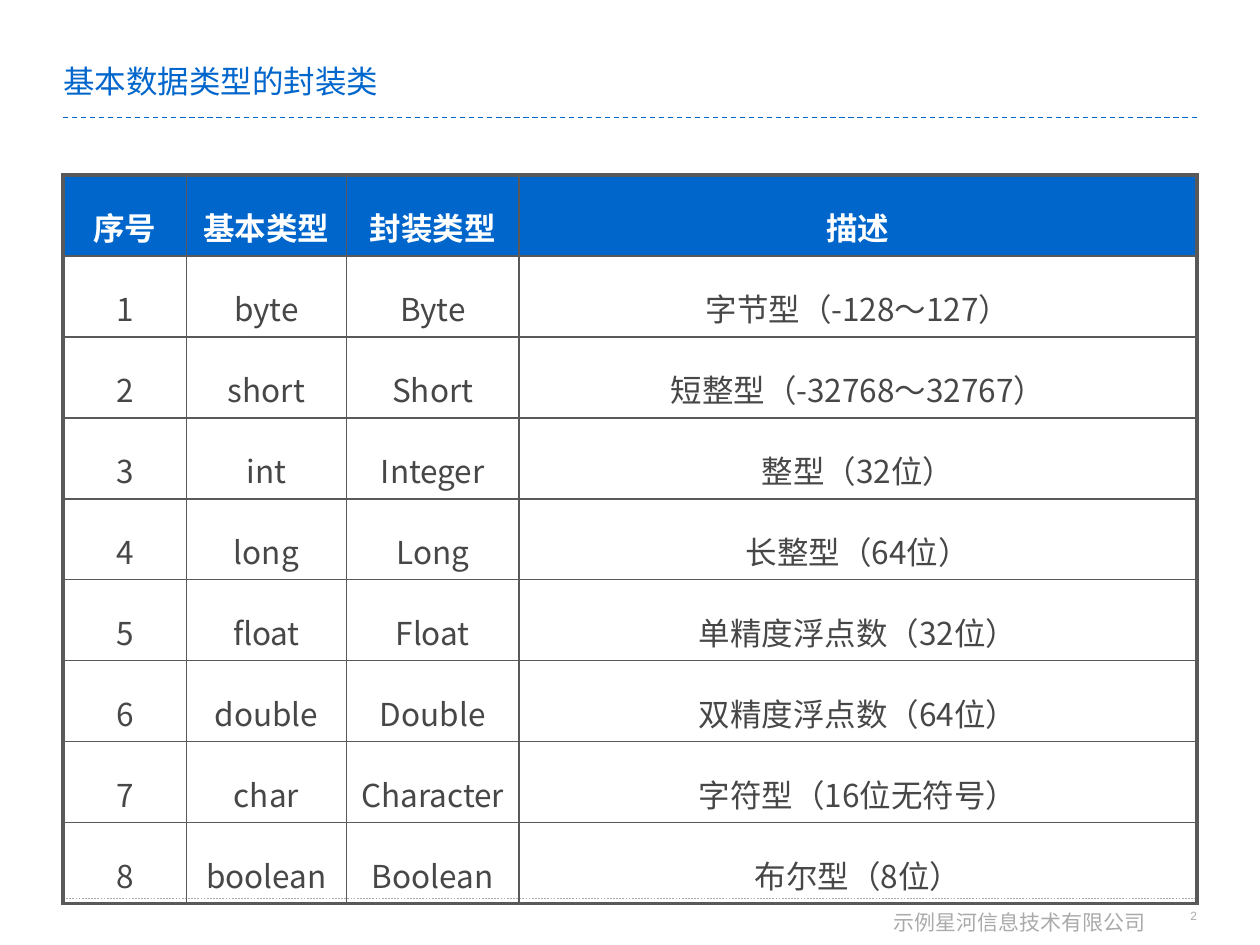
import pptx
import pptx.dml.color
import pptx.enum.dml
import pptx.enum.shapes
import pptx.enum.text
import pptx.oxml.ns
import pptx.util
from lxml import etree

Inches = pptx.util.Inches
Pt = pptx.util.Pt
Align = pptx.enum.text.PP_ALIGN
qn = pptx.oxml.ns.qn

COLORS = {
    "blue": "0066CC",
    "white": "FFFFFF",
    "text": "474747",
    "border": "595959",
    "footer": "AAAAAA",
}
TITLE_FONT = "Arial"
TABLE_FONT = "Noto Sans CJK SC"
LEFT, RIGHT = 0.5, 9.5

COLUMN_WIDTHS = [0.98, 1.27, 1.37, 5.38]
TABLE_TOP, TABLE_HEIGHT = 1.39, 5.78
HEADER = ["序号", "基本类型", "封装类型", "描述"]
TYPES = [
    ("byte", "Byte", "字节型（-128～127）"),
    ("short", "Short", "短整型（-32768～32767）"),
    ("int", "Integer", "整型（32位）"),
    ("long", "Long", "长整型（64位）"),
    ("float", "Float", "单精度浮点数（32位）"),
    ("double", "Double", "双精度浮点数（64位）"),
    ("char", "Character", "字符型（16位无符号）"),
    ("boolean", "Boolean", "布尔型（8位）"),
]


def rgb(name):
    return pptx.dml.color.RGBColor.from_string(COLORS[name])


def style_paragraph(para, font_name, size, color, align, bold=False):
    para.alignment = align
    para.font.name = font_name
    para.font.size = Pt(size)
    para.font.bold = bold
    para.font.color.rgb = rgb(color)


def add_title(page, text):
    title = page.shapes.title
    title.left, title.top = Inches(LEFT), Inches(0.4)
    title.width, title.height = Inches(7.77), Inches(0.52)
    frame = title.text_frame
    frame.text = text
    frame.auto_size = pptx.enum.text.MSO_AUTO_SIZE.NONE
    frame.vertical_anchor = pptx.enum.text.MSO_ANCHOR.MIDDLE
    frame.margin_left = 0
    para = frame.paragraphs[0]
    style_paragraph(para, TITLE_FONT, 18, "blue", Align.LEFT)
    para.line_spacing = 0.9


def add_dashed_rule(page, top, color, width):
    rule = page.shapes.add_connector(
        pptx.enum.shapes.MSO_CONNECTOR.STRAIGHT,
        Inches(LEFT), Inches(top), Inches(RIGHT), Inches(top))
    rule.line.color.rgb = rgb(color)
    rule.line.width = Pt(width)
    rule.line.dash_style = pptx.enum.dml.MSO_LINE.DASH
    etree.SubElement(rule._element.spPr, qn("a:effectLst"))


def add_footer_text(page, text, left, top, width, height, size):
    box = page.shapes.add_textbox(
        Inches(left), Inches(top), Inches(width), Inches(height))
    frame = box.text_frame
    frame.text = text
    frame.word_wrap = False
    frame.margin_right = 0
    style_paragraph(frame.paragraphs[0], TITLE_FONT, size, "footer", Align.RIGHT)


def set_borders(cell, widths):
    """Draw the cell's borders; widths are points for left, right, top, bottom."""
    properties = cell._tc.get_or_add_tcPr()
    for position, (side, width) in enumerate(zip("LRTB", widths)):
        line = etree.Element(qn(f"a:ln{side}"), w=str(Pt(width)))
        fill = etree.SubElement(line, qn("a:solidFill"))
        etree.SubElement(fill, qn("a:srgbClr"), val=COLORS["border"])
        properties.insert(position, line)


def fill_cell(cell, text, is_header):
    cell.text = text
    para = cell.text_frame.paragraphs[0]
    style_paragraph(para, TABLE_FONT, 18, "white" if is_header else "text",
                    Align.CENTER, is_header)
    para.line_spacing = 1.5
    if is_header:
        cell.fill.solid()
        cell.fill.fore_color.rgb = rgb("blue")
    else:
        cell.fill.background()


def add_type_table(page):
    rows = [HEADER] + [(str(number), *names)
                       for number, names in enumerate(TYPES, 1)]
    last_row, last_column = len(rows) - 1, len(HEADER) - 1
    table = page.shapes.add_table(
        len(rows), len(HEADER), Inches(LEFT), Inches(TABLE_TOP),
        Inches(RIGHT - LEFT), Inches(TABLE_HEIGHT)).table
    table.horz_banding = False
    for column, width in zip(table.columns, COLUMN_WIDTHS):
        column.width = Inches(width)
    for r, texts in enumerate(rows):
        for c, text in enumerate(texts):
            cell = table.cell(r, c)
            fill_cell(cell, text, r == 0)
            outer = (c == 0, c == last_column, r == 0, r == last_row)
            set_borders(cell, [2.25 if edge else 1 for edge in outer])


def main():
    deck = pptx.Presentation()
    deck.slide_width, deck.slide_height = Inches(10), Inches(7.5)
    page = deck.slides.add_slide(deck.slide_layouts.get_by_name("Title Only"))
    add_footer_text(page, "示例星河信息技术有限公司", 6.97, 7.17, 2.12, 0.3, 12)
    add_dashed_rule(page, 0.93, "blue", 0.75)
    add_dashed_rule(page, 7.13, "footer", 0.25)
    add_footer_text(page, "2", 9.28, 7.16, 0.22, 0.21, 6.8)
    add_title(page, "基本数据类型的封装类")
    add_type_table(page)
    deck.save("out.pptx")


if __name__ == "__main__":
    main()
